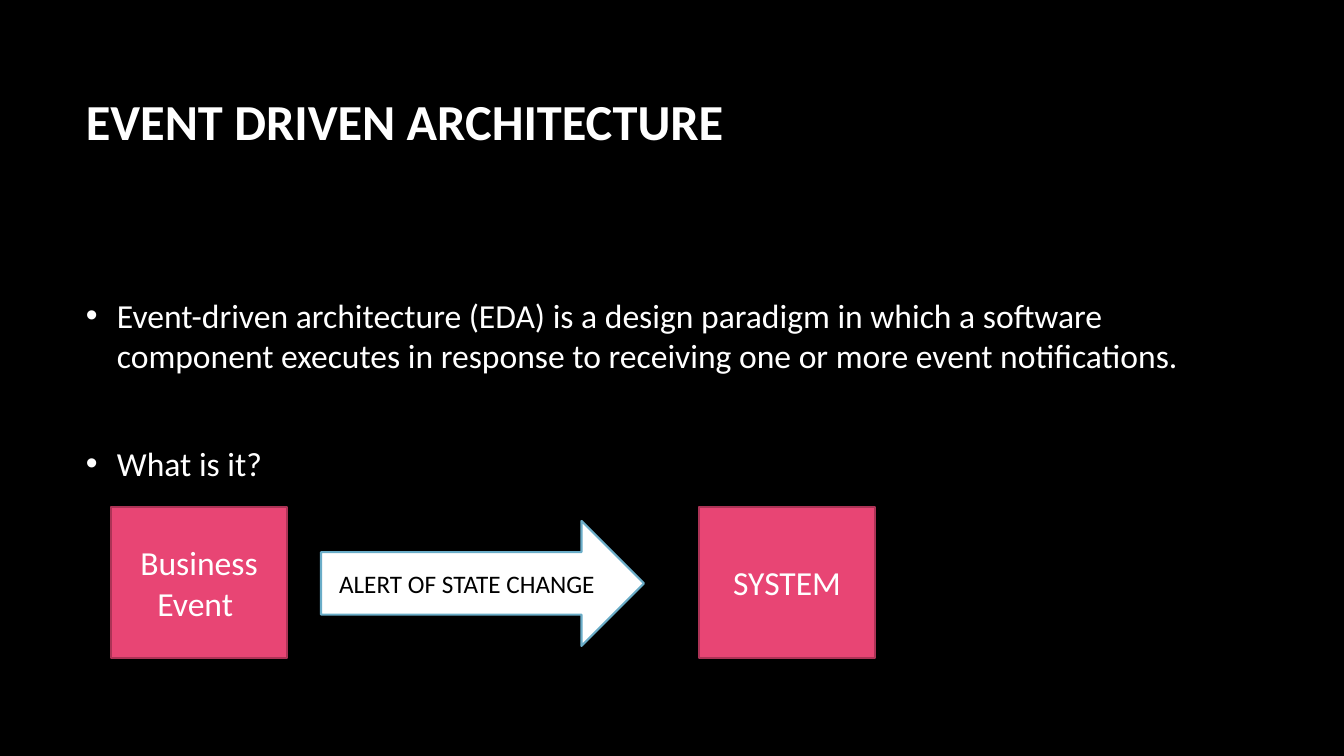
from dataclasses import dataclass

from lxml.etree import SubElement
from pptx import Presentation
from pptx.dml.color import RGBColor as RGB
from pptx.enum.shapes import MSO_SHAPE as SHAPE
from pptx.enum.text import MSO_ANCHOR as ANCHOR, PP_ALIGN as ALIGN
from pptx.oxml.ns import qn
from pptx.util import Emu, Pt


@dataclass(frozen=True)
class Theme:
    font: str = "Calibri"
    background: RGB = RGB(0, 0, 0)
    light: RGB = RGB(255, 255, 255)
    dark: RGB = RGB(0, 0, 0)
    pink: RGB = RGB(0xE8, 0x45, 0x74)
    pink_line: RGB = RGB(0xAC, 0x33, 0x56)
    blue_line: RGB = RGB(0x6A, 0xAD, 0xC8)
    title: int = 36
    body: int = 24
    label: int = 18
    outline: float = 1.5


THEME = Theme()


def px(n):
    """Turn slide pixels (100.8 to the inch) into EMU."""
    return Emu(round(n * 914400 / 100.8))


def add_run(p, text, size, color, bold=False):
    r = p.add_run()
    r.text = text
    r.font.name = THEME.font
    r.font.size = Pt(size)
    r.font.bold = bold
    r.font.color.rgb = color


def add_text_frame(s, x, y, w, h):
    tf = s.shapes.add_textbox(px(x), px(y), px(w), px(h)).text_frame
    tf.word_wrap = True
    return tf


def add_title(s, text):
    tf = add_text_frame(s, 76, 67, 1117, 160)
    tf.vertical_anchor = ANCHOR.MIDDLE
    tf.margin_bottom = px(59)
    add_run(tf.paragraphs[0], text, THEME.title, THEME.light, bold=True)


def set_bullet(p):
    pPr = p._p.get_or_add_pPr()
    pPr.set("marL", str(px(31)))
    pPr.set("indent", str(-px(31)))
    color = SubElement(SubElement(pPr, qn("a:buClr")), qn("a:srgbClr"))
    color.set("val", str(THEME.light))
    SubElement(pPr, qn("a:buFont")).set("typeface", "Arial")
    SubElement(pPr, qn("a:buChar")).set("char", "•")


def add_bullets(s, items):
    tf = add_text_frame(s, 76, 236, 1117, 402)
    tf.margin_top = px(59)
    for i, text in enumerate(items):
        p = tf.paragraphs[0] if i == 0 else tf.add_paragraph()
        set_bullet(p)
        if i:
            p.space_before = Pt(48)
        add_run(p, text, THEME.body, THEME.light)


def add_node(s, kind, box, text, size, fill, line, color):
    sp = s.shapes.add_shape(kind, *map(px, box))
    sp.shadow.inherit = False
    sp.fill.solid()
    sp.fill.fore_color.rgb = fill
    sp.line.color.rgb = line
    sp.line.width = Pt(THEME.outline)
    tf = sp.text_frame
    tf.word_wrap = True
    tf.vertical_anchor = ANCHOR.MIDDLE
    p = tf.paragraphs[0]
    p.alignment = ALIGN.CENTER
    add_run(p, text, size, color)


def add_event_flow(s):
    for x, text in ((111, "Business Event "), (699, "SYSTEM")):
        add_node(s, SHAPE.RECTANGLE, (x, 507, 176, 151), text, THEME.body,
                 THEME.pink, THEME.pink_line, THEME.light)
    add_node(s, SHAPE.RIGHT_ARROW, (321, 521, 323, 125),
             "ALERT OF STATE CHANGE", THEME.label,
             THEME.light, THEME.blue_line, THEME.dark)


def main():
    prs = Presentation()
    prs.slide_width, prs.slide_height = px(1344), px(756)
    s = prs.slides.add_slide(prs.slide_layouts[6])
    s.background.fill.solid()
    s.background.fill.fore_color.rgb = THEME.background
    add_title(s, "EVENT DRIVEN ARCHITECTURE")
    add_bullets(s, (
        "Event-driven architecture (EDA) is a design paradigm in which a "
        "software component executes in response to receiving one or more "
        "event notifications.",
        "What is it?",
    ))
    add_event_flow(s)
    prs.save("out.pptx")


if __name__ == "__main__":
    main()
